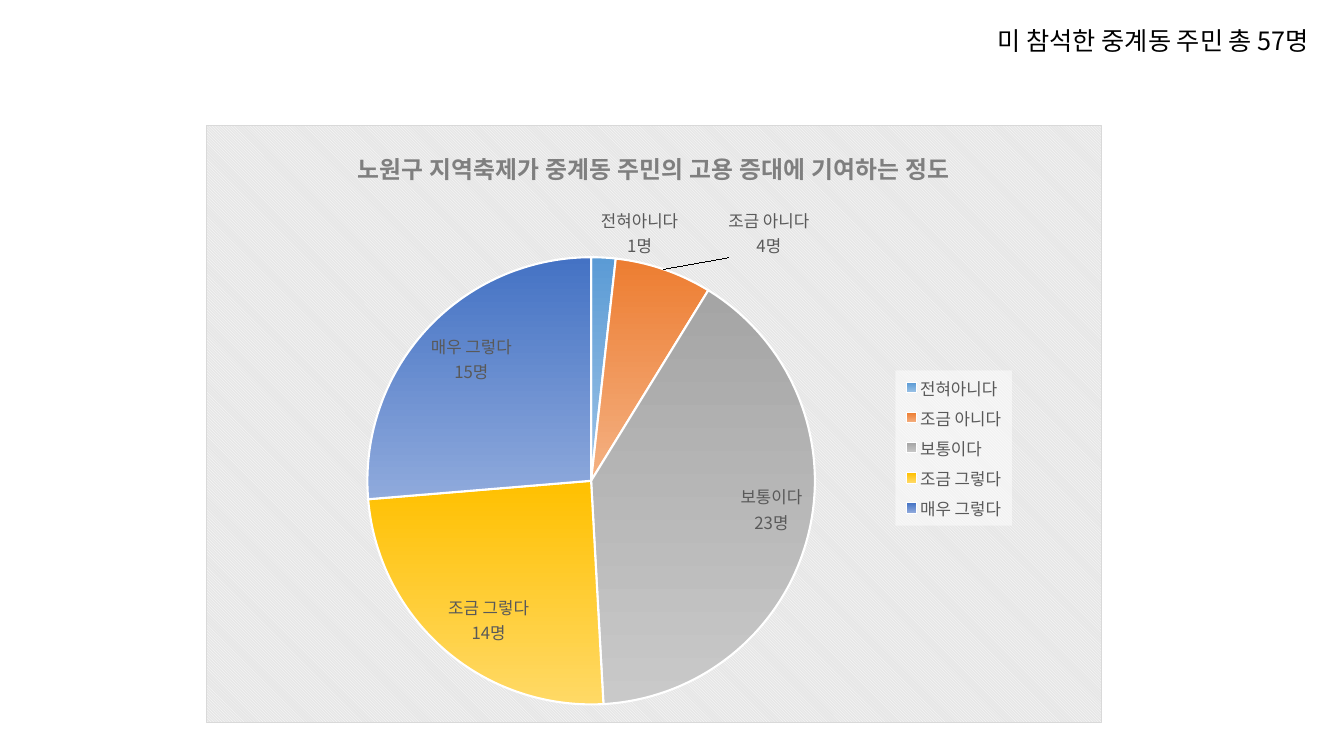
import pptx
import pptx.util
import pptx.dml.color
import pptx.chart.data
import pptx.enum.chart
import pptx.enum.dml
import pptx.oxml
import pptx.oxml.ns

Pt = pptx.util.Pt
FONT = "Noto Sans CJK KR"
COLORS = {"black": "000000", "label": "595959", "title": "7F7F7F", "white": "FFFFFF",
          "panel": "E6E6E6", "border": "D9D9D9"}

# Content
RESPONDENTS = "미 참석한 중계동 주민 총 57명"
QUESTION = "노원구 지역축제가 중계동 주민의 고용 증대에 기여하는 정도"
# answer, people, gradient top, gradient bottom, label position, label shift
ANSWERS = [
    ("전혀아니다", 1, "5B9BD5", "9DC3E6", "outEnd", (0.04, 0.01)),
    ("조금 아니다", 4, "ED7D31", "F4B183", "outEnd", (0.07, -0.01)),
    ("보통이다", 23, "A5A5A5", "C9C9C9", "inEnd", None),
    ("조금 그렇다", 14, "FFC000", "FFD966", "inEnd", None),
    ("매우 그렇다", 15, "4472C4", "8FAADC", "inEnd", None),
]

# Places in points, and layouts as fractions of the chart
CAPTION_BOX = (705.6, 14.4, 266.4, 29)
CHART_BOX = (147, 89.5, 640, 427)
PIE_LAYOUT = (0.18, 0.22, 0.5, 0.75)
LEGEND_LAYOUT = (0.77, 0.41, 0.13, 0.26)
NS = pptx.oxml.ns.nsdecls("c", "a")


def rgb(value):
    return pptx.dml.color.RGBColor.from_string(value)


def set_font(font, size, color, bold=False):
    for attribute, value in {"name": FONT, "size": Pt(size), "bold": bold}.items():
        setattr(font, attribute, value)
    font.color.rgb = rgb(COLORS[color])


def layout_xml(place, inner=False):
    target = '<c:layoutTarget val="inner"/>' if inner else ""
    modes = '<c:xMode val="edge"/><c:yMode val="edge"/>' if len(place) == 4 else ""
    sizes = "".join(f'<c:{tag} val="{value}"/>' for tag, value in zip("xywh", place))
    return f"<c:layout {NS}><c:manualLayout>{target}{modes}{sizes}</c:manualLayout></c:layout>"


def solid_xml(color, alpha=100):
    return (f'<a:solidFill><a:srgbClr val="{color}"><a:alpha val="{alpha * 1000}"/>'
            "</a:srgbClr></a:solidFill>")


def replace_layout(parent, after, place, inner=False):
    for old in parent.findall(pptx.oxml.ns.qn("c:layout")):
        parent.remove(old)
    layout = pptx.oxml.parse_xml(layout_xml(place, inner))
    if after is None:
        parent.insert(0, layout)
    else:
        after.addnext(layout)


deck = pptx.Presentation()
deck.slide_width, deck.slide_height = Pt(960), Pt(540)
slide = deck.slides.add_slide(deck.slide_layouts[6])

# Pie chart
data = pptx.chart.data.CategoryChartData(number_format='0"명"')
data.categories = [answer[0] for answer in ANSWERS]
data.add_series("Series 1", [answer[1] for answer in ANSWERS])
chart = slide.shapes.add_chart(pptx.enum.chart.XL_CHART_TYPE.PIE,
                               *map(Pt, CHART_BOX), data).chart
set_font(chart.font, 10, "black")
chart.has_title = True
chart.chart_title.include_in_layout = False
chart.chart_title.text_frame.text = QUESTION
set_font(chart.chart_title.text_frame.paragraphs[0].runs[0].font, 17, "title", True)

# Hatched panel behind the pie
chart_xml = chart.element.find(pptx.oxml.ns.qn("c:chart"))
chart_xml.addnext(pptx.oxml.parse_xml(
    f'<c:spPr {NS}><a:pattFill prst="dkDnDiag">'
    f'<a:fgClr><a:srgbClr val="{COLORS["white"]}"/></a:fgClr>'
    f'<a:bgClr><a:srgbClr val="{COLORS["panel"]}"/></a:bgClr></a:pattFill>'
    f'<a:ln w="{Pt(0.75)}">{solid_xml(COLORS["border"])}</a:ln></c:spPr>'))
replace_layout(chart_xml.find(pptx.oxml.ns.qn("c:plotArea")), None, PIE_LAYOUT, True)

# Slices
pie = chart.plots[0]
pie.vary_by_categories = True
series = pie.series[0]
for index, (_, _, top, bottom, _, _) in enumerate(ANSWERS):
    slice_format = series.points[index].format
    slice_format.fill.gradient()
    slice_format.fill.gradient_angle = 270
    for stop, color in zip(slice_format.fill.gradient_stops, (top, bottom)):
        stop.color.rgb = rgb(color)
    slice_format.line.color.rgb = rgb(COLORS["white"])
    slice_format.line.width = Pt(1.5)

# Slice labels
labels = series.data_labels
set_font(labels.font, 12, "label")
labels.show_value = labels.show_category_name = True
label_xml = labels.font._element.getparent().getparent().getparent().getparent()
SHOW = ('<c:showLegendKey val="0"/><c:showVal val="1"/><c:showCatName val="1"/>'
        '<c:showSerName val="0"/><c:showPercent val="0"/><c:showBubbleSize val="0"/>'
        "<c:separator>\n</c:separator>")
for index, (_, _, _, _, position, shift) in enumerate(ANSWERS):
    layout = layout_xml(shift) if shift else ""
    label_xml.insert(index, pptx.oxml.parse_xml(
        f'<c:dLbl {NS}><c:idx val="{index}"/>{layout}'
        f'<c:dLblPos val="{position}"/>{SHOW}</c:dLbl>'))
leader = label_xml.find(pptx.oxml.ns.qn("c:showLeaderLines"))
if leader is None:
    leader = pptx.oxml.parse_xml(f'<c:showLeaderLines {NS} val="1"/>')
    label_xml.append(leader)
leader.set("val", "1")

# Legend
chart.has_legend = True
legend = chart.legend
legend.position = pptx.enum.chart.XL_LEGEND_POSITION.RIGHT
legend.include_in_layout = False
set_font(legend.font, 12, "label")
legend_xml = legend._element
replace_layout(legend_xml, legend_xml.find(pptx.oxml.ns.qn("c:legendPos")), LEGEND_LAYOUT)
legend_xml.find(pptx.oxml.ns.qn("c:txPr")).addprevious(pptx.oxml.parse_xml(
    f'<c:spPr {NS}>{solid_xml(COLORS["white"], 50)}</c:spPr>'))

# Respondent count
caption = slide.shapes.add_textbox(*map(Pt, CAPTION_BOX)).text_frame
caption.word_wrap = False
caption.text = RESPONDENTS
set_font(caption.paragraphs[0].runs[0].font, 18, "black")

deck.save("out.pptx")
